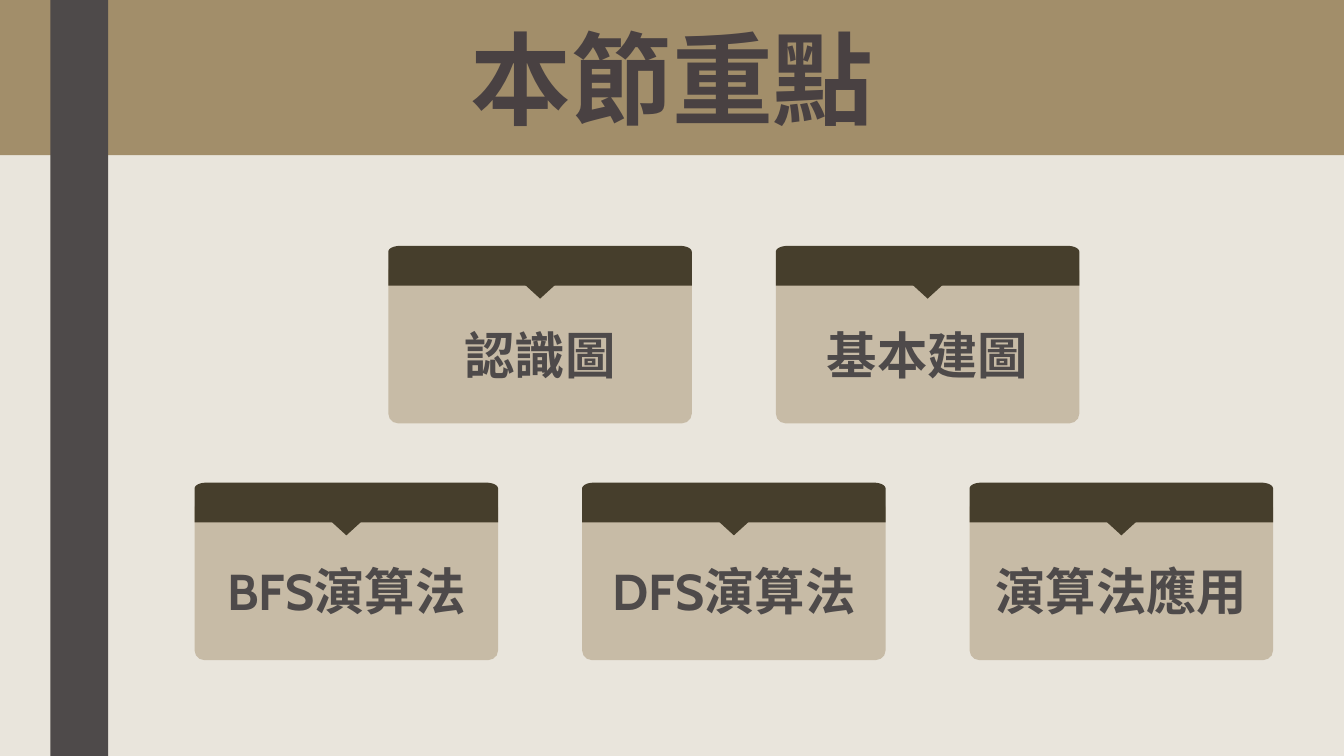
from dataclasses import dataclass
from math import cos, pi, sin

from pptx import Presentation
from pptx.dml.color import RGBColor
from pptx.enum.shapes import MSO_SHAPE
from pptx.enum.text import MSO_ANCHOR, PP_ALIGN
from pptx.shapes.autoshape import Shape
from pptx.slide import Slide
from pptx.util import Pt


@dataclass(frozen=True)
class Theme:
    background: str = "E9E5DC"
    banner: str = "A28E6A"
    bar: str = "4E4A4A"
    card: str = "C7BBA6"
    header: str = "463E2C"
    title_text: str = "494142"
    card_text: str = "4E4A4A"
    font: str = "Cabin"
    title_size: float = 72
    card_size: float = 36


@dataclass(frozen=True)
class Row:
    left: float
    top: float
    topics: tuple[str, ...]


THEME = Theme()
SLIDE_W, SLIDE_H = 960, 540
CARD_W, CARD_PITCH = 216.8, 276.8
BODY_DROP, BODY_H = 10.8, 115.9
HEADER_H, CORNER_W, CORNER_H = 28.4, 8.2, 4.2
NOTCH_W, NOTCH_H, NOTCH_DROP = 41, 18.7, 18.9
CORNER_STEPS = 8
FIRST_LEFT = 139
ROWS = (
    Row(FIRST_LEFT + CARD_PITCH / 2, 175.7, ("認識圖", "基本建圖")),
    Row(FIRST_LEFT, 344.8, ("BFS演算法", "DFS演算法", "演算法應用")),
)


def paint(sp: Shape, color: str) -> None:
    sp.shadow.inherit = False
    sp.fill.solid()
    sp.fill.fore_color.rgb = RGBColor.from_string(color)
    sp.line.fill.background()


def add_block(s: Slide, kind: MSO_SHAPE, left: float, top: float,
              width: float, height: float, color: str) -> Shape:
    sp = s.shapes.add_shape(kind, Pt(left), Pt(top), Pt(width), Pt(height))
    paint(sp, color)
    return sp


def write(sp: Shape, text: str, size: float, color: str) -> None:
    tf = sp.text_frame
    tf.word_wrap = True
    tf.vertical_anchor = MSO_ANCHOR.MIDDLE
    p = tf.paragraphs[0]
    p.alignment = PP_ALIGN.CENTER
    r = p.add_run()
    r.text = text
    r.font.name = THEME.font
    r.font.size = Pt(size)
    r.font.bold = True
    r.font.color.rgb = RGBColor.from_string(color)


def add_header(s: Slide, left: float, top: float) -> None:
    right, bottom = left + CARD_W, top + HEADER_H
    angles = [pi / 2 * i / CORNER_STEPS for i in range(CORNER_STEPS + 1)]
    corner = [(CORNER_W * (1 - cos(a)), CORNER_H * (1 - sin(a))) for a in angles]
    outline = [(left + dx, top + dy) for dx, dy in corner]
    outline += [(right - dx, top + dy) for dx, dy in reversed(corner)]
    outline += [(right, bottom), (left, bottom)]
    points = [(Pt(x), Pt(y)) for x, y in outline]
    builder = s.shapes.build_freeform(*points[0])
    builder.add_line_segments(points[1:], close=True)
    paint(builder.convert_to_shape(), THEME.header)


def add_card(s: Slide, left: float, top: float, topic: str) -> None:
    body = add_block(s, MSO_SHAPE.ROUNDED_RECTANGLE, left, top + BODY_DROP,
                     CARD_W, BODY_H, THEME.card)
    body.adjustments[0] = 0.06
    write(body, topic, THEME.card_size, THEME.card_text)
    p = body.text_frame.paragraphs[0]
    p.line_spacing = Pt(60)
    p.space_before = Pt(10)
    p.space_after = Pt(2)
    add_header(s, left, top)
    notch = add_block(s, MSO_SHAPE.ISOSCELES_TRIANGLE,
                      left + (CARD_W - NOTCH_W) / 2, top + NOTCH_DROP,
                      NOTCH_W, NOTCH_H, THEME.header)
    notch.rotation = 180


def main() -> None:
    prs = Presentation()
    prs.slide_width, prs.slide_height = Pt(SLIDE_W), Pt(SLIDE_H)
    s = prs.slides.add_slide(prs.slide_layouts[6])
    s.background.fill.solid()
    s.background.fill.fore_color.rgb = RGBColor.from_string(THEME.background)
    banner = add_block(s, MSO_SHAPE.RECTANGLE, 0, 0, SLIDE_W, 110.9, THEME.banner)
    write(banner, "本節重點", THEME.title_size, THEME.title_text)
    add_block(s, MSO_SHAPE.RECTANGLE, 36, 0, 41.2, SLIDE_H, THEME.bar)
    for row in ROWS:
        for i, topic in enumerate(row.topics):
            add_card(s, row.left + i * CARD_PITCH, row.top, topic)
    prs.save("out.pptx")


if __name__ == "__main__":
    main()
